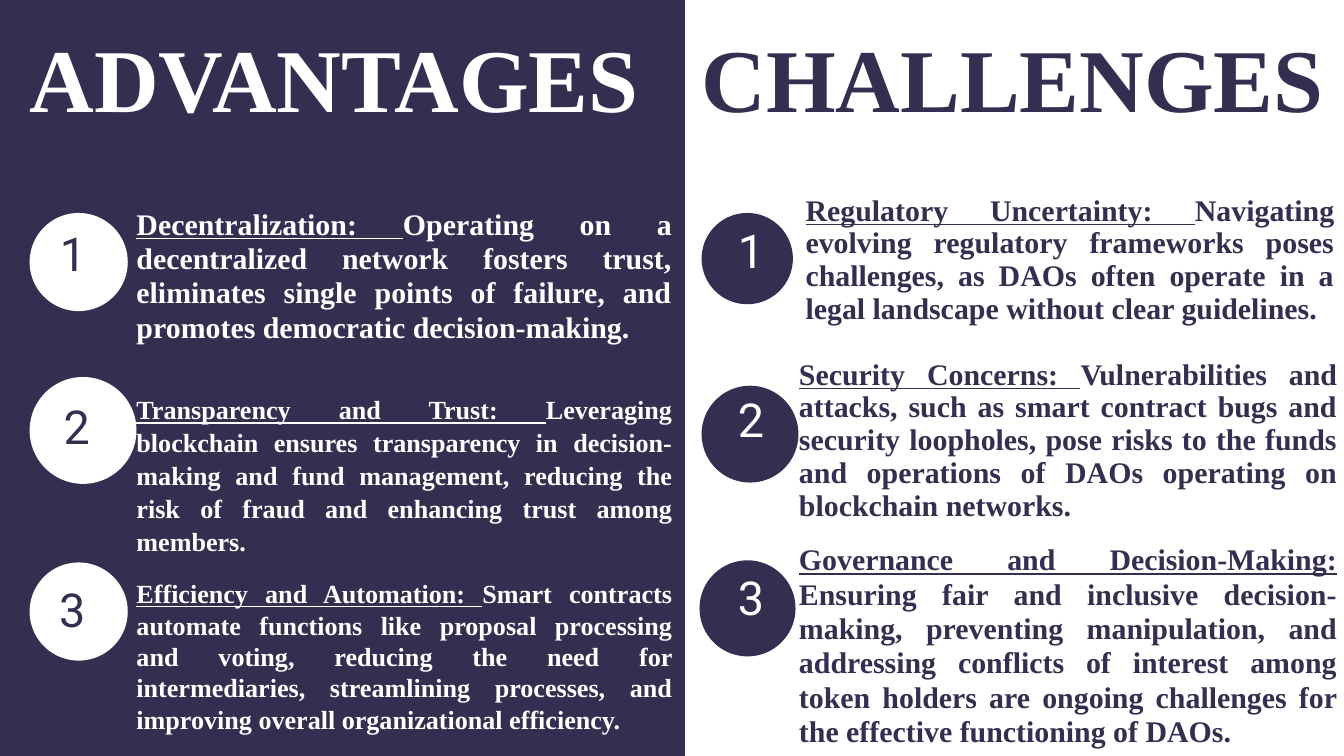
from dataclasses import dataclass

from pptx import Presentation
from pptx.dml.color import RGBColor
from pptx.enum.shapes import MSO_SHAPE
from pptx.enum.text import PP_ALIGN
from pptx.util import Cm, Pt

NAVY = RGBColor(0x32, 0x2F, 0x50)
WHITE = RGBColor(0xFF, 0xFF, 0xFF)
SERIF = "Times New Roman"
SANS = "Roboto"
TITLE_TOP, TITLE_WIDTH, TITLE_HEIGHT = 1.85, 24.28, 3.12
NUMBER_HEIGHT = 1.88


@dataclass
class Point:
    """A numbered point; places are in centimetres, sizes in points."""
    circle: tuple  # left, top, diameter
    number: tuple  # left, top, width
    body: tuple  # left, top, width, height
    size: float
    spacing: float
    heading: str
    detail: str


ADVANTAGES = [
    Point((1.12, 8.05, 3.71), (2.26, 8.86, 1.17), (5.16, 7.82, 20.24, 5.28), 32, 36.8,
          "Decentralization: ",
          "Operating on a decentralized network fosters trust, eliminates single points "
          "of failure, and promotes democratic decision-making."),
    Point((1.12, 14.25, 4.04), (2.41, 15.39, 1.47), (5.16, 14.83, 20.24, 6.15), 28, 35.2,
          "Transparency and Trust: ",
          "Leveraging blockchain ensures transparency in decision-making and fund "
          "management, reducing the risk of fraud and enhancing trust among members."),
    Point((1.12, 21.26, 3.71), (2.24, 22.3, 1.47), (5.16, 21.84, 20.24, 10.46), 28, 33.6,
          "Efficiency and Automation: ",
          "Smart contracts automate functions like proposal processing and voting, "
          "reducing the need for intermediaries, streamlining processes, and improving "
          "overall organizational efficiency."),
]
CHALLENGES = [
    Point((26.52, 8.05, 3.45), (27.89, 8.74, 6.15), (30.45, 7.34, 19.99, 7.32), 32, 35.2,
          "Regulatory Uncertainty: ",
          "Navigating evolving regulatory frameworks poses challenges, as DAOs often "
          "operate in a legal landscape without clear guidelines."),
    Point((26.52, 14.58, 3.66), (27.89, 15.14, 1.17), (30.2, 13.54, 20.35, 6.22), 32, 35.2,
          "Security Concerns: ",
          "Vulnerabilities and attacks, such as smart contract bugs and security "
          "loopholes, pose risks to the funds and operations of DAOs operating on "
          "blockchain networks."),
    Point((26.44, 21.18, 3.63), (27.89, 21.84, 6.15), (30.2, 20.5, 20.35, 12.47), 32, 36.8,
          "Governance and Decision-Making: ",
          "Ensuring fair and inclusive decision-making, preventing manipulation, and "
          "addressing conflicts of interest among token holders are ongoing challenges "
          "for the effective functioning of DAOs."),
]


def add_filled_shape(page, kind, left, top, width, height, color):
    shape = page.shapes.add_shape(kind, Cm(left), Cm(top), Cm(width), Cm(height))
    shape.shadow.inherit = False
    shape.fill.solid()
    shape.fill.fore_color.rgb = color
    shape.line.fill.background()


def add_paragraph_box(page, left, top, width, height, spacing, align=PP_ALIGN.LEFT):
    """Add a text box without margins and return its first paragraph."""
    box = page.shapes.add_textbox(Cm(left), Cm(top), Cm(width), Cm(height))
    frame = box.text_frame
    frame.word_wrap = True
    frame.margin_left = frame.margin_top = frame.margin_right = frame.margin_bottom = 0
    para = frame.paragraphs[0]
    para.alignment = align
    para.line_spacing = Pt(spacing)
    return para


def add_span(para, text, font, size, color, bold=True, underline=False):
    span = para.add_run()
    span.text = text
    span.font.name = font
    span.font.size = Pt(size)
    span.font.color.rgb = color
    span.font.bold = bold
    span.font.underline = underline


def add_title(page, text, left, color):
    para = add_paragraph_box(page, left, TITLE_TOP, TITLE_WIDTH, TITLE_HEIGHT, 87.8)
    add_span(para, text, SERIF, 96, color)


def add_point(page, number, point, color, number_color):
    left, top, diameter = point.circle
    add_filled_shape(page, MSO_SHAPE.OVAL, left, top, diameter, diameter, color)

    para = add_paragraph_box(page, *point.number, NUMBER_HEIGHT, 50.1)
    add_span(para, str(number), SANS, 50.1, number_color, bold=False)

    para = add_paragraph_box(page, *point.body, point.spacing, PP_ALIGN.JUSTIFY)
    add_span(para, point.heading, SERIF, point.size, color, underline=True)
    add_span(para, point.detail, SERIF, point.size, color)


def add_column(page, title, left, points, color, number_color):
    add_title(page, title, left, color)
    for number, point in enumerate(points, start=1):
        add_point(page, number, point, color, number_color)


def main():
    deck = Presentation()
    deck.slide_width, deck.slide_height = Cm(50.8), Cm(28.575)
    page = deck.slides.add_slide(deck.slide_layouts[6])
    page.background.fill.solid()
    page.background.fill.fore_color.rgb = WHITE

    add_filled_shape(page, MSO_SHAPE.RECTANGLE, -0.71, 0, 26.6, 28.58, NAVY)
    add_column(page, "ADVANTAGES", 1.12, ADVANTAGES, WHITE, NAVY)
    add_column(page, "CHALLENGES", 26.52, CHALLENGES, NAVY, WHITE)
    deck.save("out.pptx")


if __name__ == "__main__":
    main()
